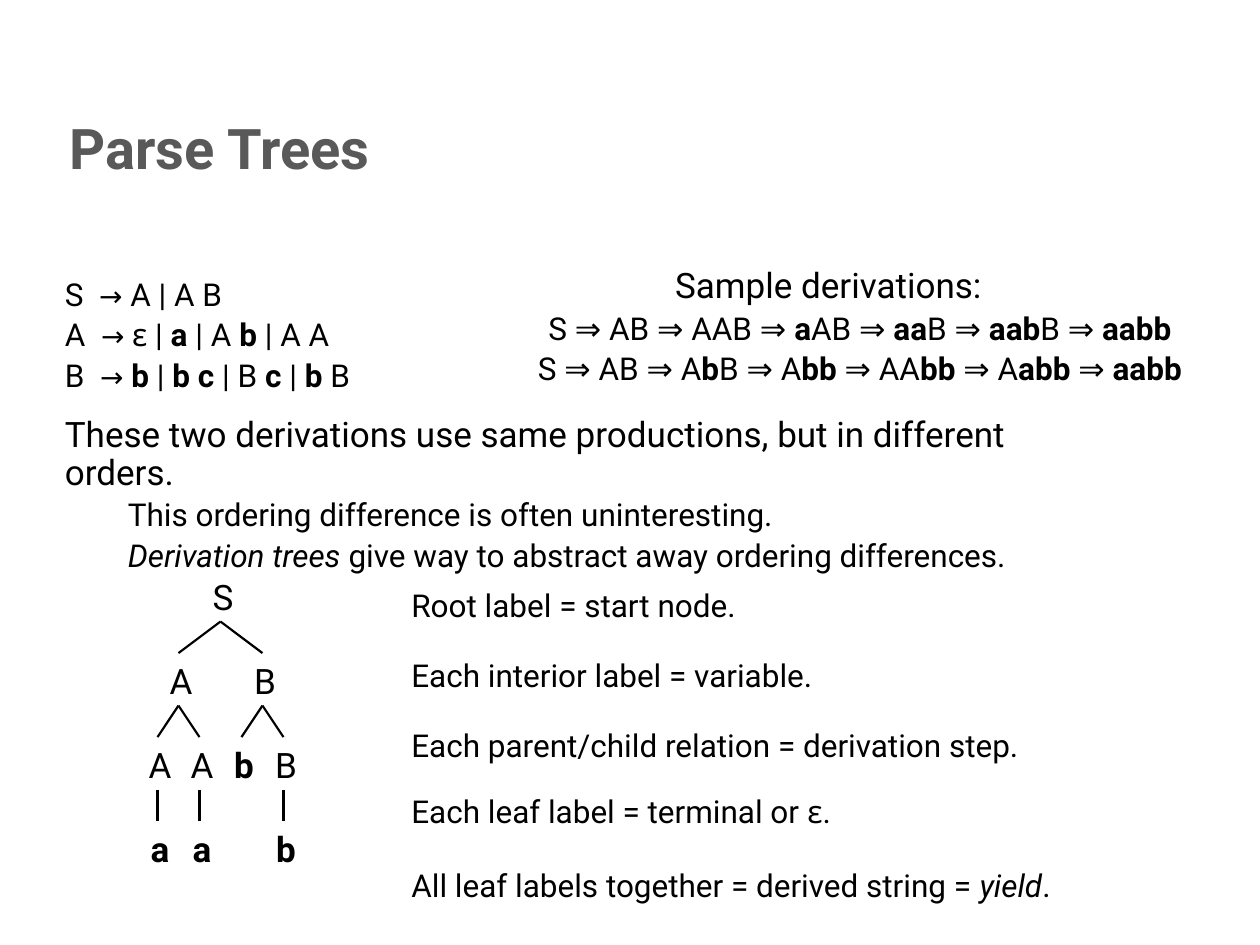
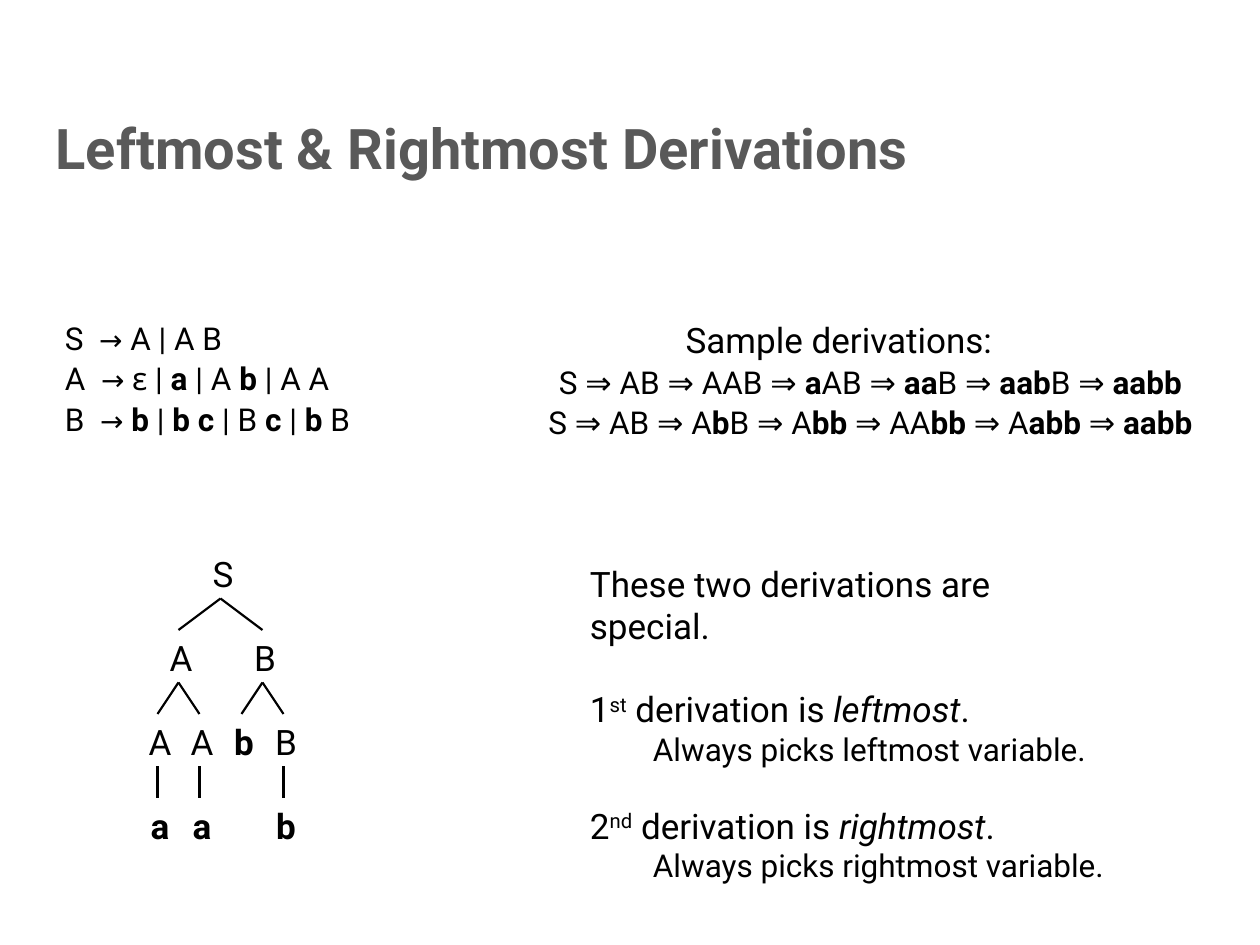
from dataclasses import dataclass
from itertools import groupby

from pptx import Presentation
from pptx.dml.color import RGBColor
from pptx.enum.shapes import MSO_CONNECTOR as Conn
from pptx.enum.text import MSO_ANCHOR as Anchor, MSO_AUTO_SIZE as Fit, PP_ALIGN as Align
from pptx.oxml.ns import qn
from pptx.util import Inches, Pt
from lxml.etree import SubElement


@dataclass(frozen=True)
class Theme:
    font: str = "Roboto"
    greek_font: str = "Noto Sans"
    ink: RGBColor = RGBColor(0x00, 0x00, 0x00)
    title_ink: RGBColor = RGBColor(0x59, 0x59, 0x59)
    title: float = 32
    body: float = 20
    detail: float = 18
    arrow: float = 16
    edge: float = 1.25
    tight: float = 0.9
    gap: float = 3.6


THEME = Theme()
COLS, ROWS = 120, 90
BOTTOM, TOP = 2, 0  # connection sites of a box
MARKS = {"*": "bold", "_": "italic", "^": "super"}

# Content shared by both slides
GRAMMAR = [
    "S  → A | A B",
    "A  → ε | *a* | A *b* | A A",
    "B  → *b* | *b c* | B *c* | *b* B",
]
DERIVATIONS = [
    "S ⇒ AB ⇒ AAB ⇒ *a*AB ⇒ *aa*B ⇒ *aab*B ⇒ *aabb*",
    "S ⇒ AB ⇒ A*b*B ⇒ A*bb* ⇒ AA*bb* ⇒ A*abb* ⇒ *aabb*",
]
# Parse tree nodes: label, column, depth, index of the parent
TREE = [
    ("S", 21, 0, None),
    ("A", 17, 1, 0), ("B", 25, 1, 0),
    ("A", 15, 2, 1), ("A", 19, 2, 1), ("*b*", 23, 2, 2), ("B", 27, 2, 2),
    ("*a*", 15, 3, 3), ("*a*", 19, 3, 4), ("*b*", 27, 3, 6),
]


def styled_runs(text):
    """Split marked text into (string, styles, special character)."""
    styles, chars = frozenset(), []
    for ch in text:
        if ch in MARKS:
            styles ^= {MARKS[ch]}
        else:
            chars.append((ch, styles, ch if ch in "→ε" else ""))
    for (style, special), group in groupby(chars, key=lambda c: c[1:]):
        yield "".join(c[0] for c in group), style, special


def write(p, text, size=THEME.body, color=THEME.ink, bold=False, align=Align.LEFT,
          level=0, spacing=1.0, before=0):
    """Write marked text into a paragraph: *bold*, _italic_, ^superscript^."""
    p.alignment, p.level = align, level
    p.line_spacing, p.space_before = spacing, Pt(before)
    pPr = p._p.get_or_add_pPr()
    pPr.set("marL", str(Inches(0.5 * level)))
    pPr.set("indent", "0")
    for string, style, special in styled_runs(text):
        r = p.add_run()
        r.text = string
        r.font.name = THEME.greek_font if special == "ε" else THEME.font
        r.font.size = Pt(THEME.arrow if special == "→" else size)
        r.font.color.rgb = color
        r.font.bold = bold or "bold" in style
        r.font.italic = "italic" in style
        if "super" in style:
            r.font._element.set("baseline", "30000")


class Deck:
    def __init__(self):
        self.prs = Presentation()
        self.prs.slide_width, self.prs.slide_height = Inches(10), Inches(7.5)
        self.slide = None

    def x(self, cols):
        return round(self.prs.slide_width * cols / COLS)

    def y(self, rows):
        return round(self.prs.slide_height * rows / ROWS)

    def add_slide(self, title):
        self.slide = self.prs.slides.add_slide(self.prs.slide_layouts[5])
        s = self.slide.shapes.title
        s.left, s.top, s.width, s.height = self.x(4.1), self.y(7.8), self.x(111.8), self.y(10)
        tf = s.text_frame
        tf.vertical_anchor, tf.auto_size, tf.word_wrap = Anchor.BOTTOM, Fit.NONE, True
        write(tf.paragraphs[0], title, size=THEME.title, color=THEME.title_ink, bold=True)

    def text(self, col, row, cols, rows, *lines):
        """Add a text box; each line is (text, format)."""
        s = self.slide.shapes.add_textbox(self.x(col), self.y(row), self.x(cols), self.y(rows))
        tf = s.text_frame
        tf.word_wrap, tf.auto_size = True, Fit.SHAPE_TO_FIT_TEXT
        for i, (text, fmt) in enumerate(lines):
            write(tf.add_paragraph() if i else tf.paragraphs[0], text, **fmt)
        return s

    def grammar(self, row):
        self.text(5, row, 34, 12.4, *[
            (rule, dict(size=THEME.detail, spacing=THEME.tight, before=THEME.gap if i else 0))
            for i, rule in enumerate(GRAMMAR)])

    def derivations(self, col, row):
        head = dict(align=Align.CENTER, spacing=THEME.tight)
        step = dict(head, size=THEME.detail, level=1, before=THEME.gap)
        self.text(col, row, 75.8, 12.7, ("Sample derivations:", head),
                  *[(line, step) for line in DERIVATIONS])

    def node(self, label, col, row):
        s = self.text(col - 2.2, row, 4.4, 5, (label, dict(align=Align.CENTER)))
        tf = s.text_frame
        tf.word_wrap, tf.auto_size = False, Fit.NONE
        tf.margin_left, tf.margin_right = Inches(0.12), Inches(0.08)
        return s

    def edge(self, parent, child):
        s = self.slide.shapes.add_connector(Conn.STRAIGHT, 0, 0, 0, 0)
        s.begin_connect(parent, BOTTOM)
        s.end_connect(child, TOP)
        s.line.color.rgb, s.line.width = THEME.ink, Pt(THEME.edge)
        SubElement(s._element.spPr, qn("a:effectLst"))

    def tree(self, row):
        nodes = [self.node(label, col, row + 8 * depth) for label, col, depth, _ in TREE]
        for child, (*_, parent) in zip(nodes, TREE):
            if parent is not None:
                self.edge(nodes[parent], child)


def parse_trees(deck):
    deck.add_slide(" Parse Trees")
    deck.derivations(41, 25)
    deck.grammar(26)

    # Why the order of steps does not matter
    tight = dict(spacing=THEME.tight)
    detail = dict(tight, size=THEME.detail, level=1, before=THEME.gap)
    deck.text(
        5, 39.2, 102, 12.7,
        ("These two derivations use same productions, but in different orders.", tight),
        ("This ordering difference is often uninteresting.", detail),
        ("_Derivation trees_ give way to abstract away ordering differences.", detail))

    # Tree and what its parts mean
    deck.tree(54.2)
    facts = [
        "Root label = start node.",
        "Each interior label = variable.",
        "Each parent/child relation = derivation step.",
        "Each leaf label = terminal or ε.",
        "All leaf labels together = derived string = _yield_.",
    ]
    for i, fact in enumerate(facts):
        # The Greek font has taller lines, so its line is set tighter
        spacing = THEME.tight if "ε" in fact else 1.0
        deck.text(38, 55.2 + 6.68 * i, 66, 4.8,
                  (fact, dict(size=THEME.detail, spacing=spacing)))


def leftmost_rightmost(deck):
    deck.add_slide("Leftmost & Rightmost Derivations")
    deck.derivations(42, 30.2)
    deck.grammar(30.2)
    deck.tree(52)

    # The two special derivations
    detail = dict(size=THEME.detail, level=1)
    deck.text(
        55, 53, 52, 28,
        ("These two derivations are special.", {}),
        ("1^st^ derivation is _leftmost_.", dict(before=23.4)),
        ("Always picks leftmost variable.", detail),
        ("2^nd^ derivation is _rightmost_.", dict(before=21.1)),
        ("Always picks rightmost variable.", detail))


def main():
    deck = Deck()
    parse_trees(deck)
    leftmost_rightmost(deck)
    deck.prs.save("out.pptx")


if __name__ == "__main__":
    main()
